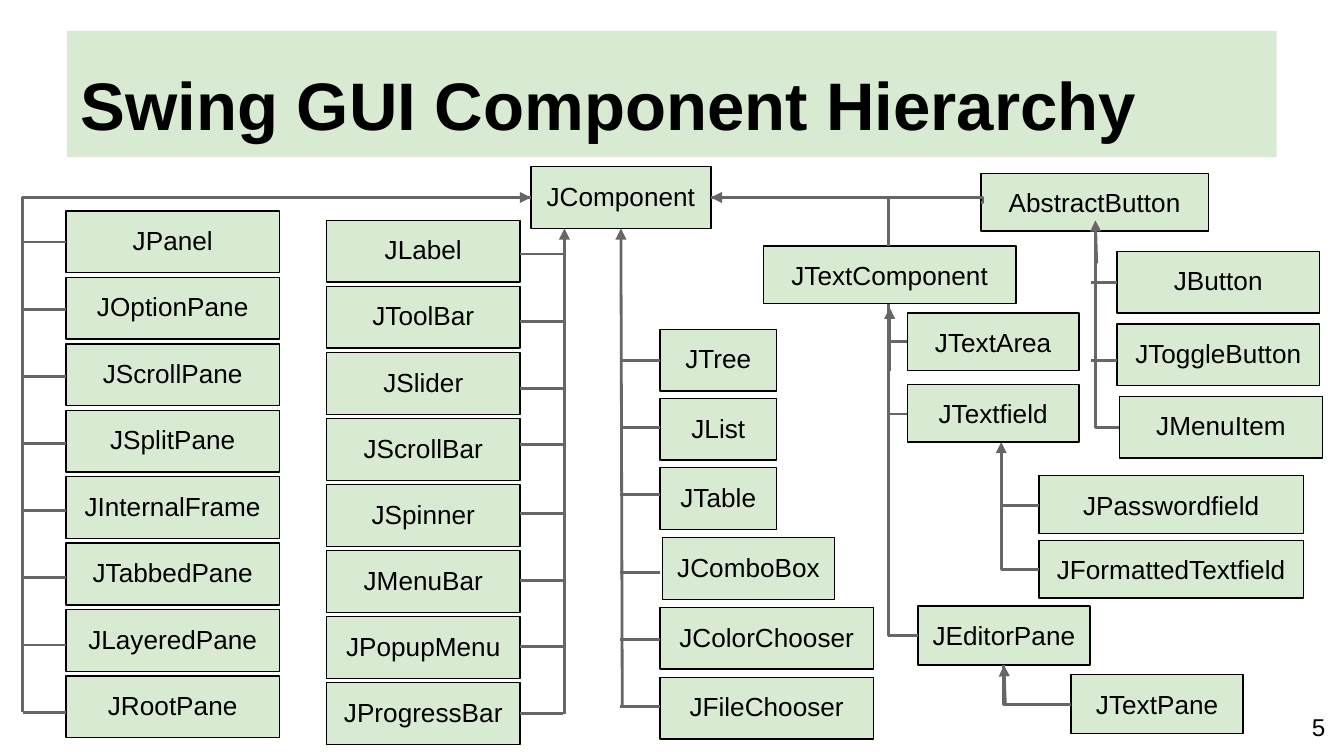
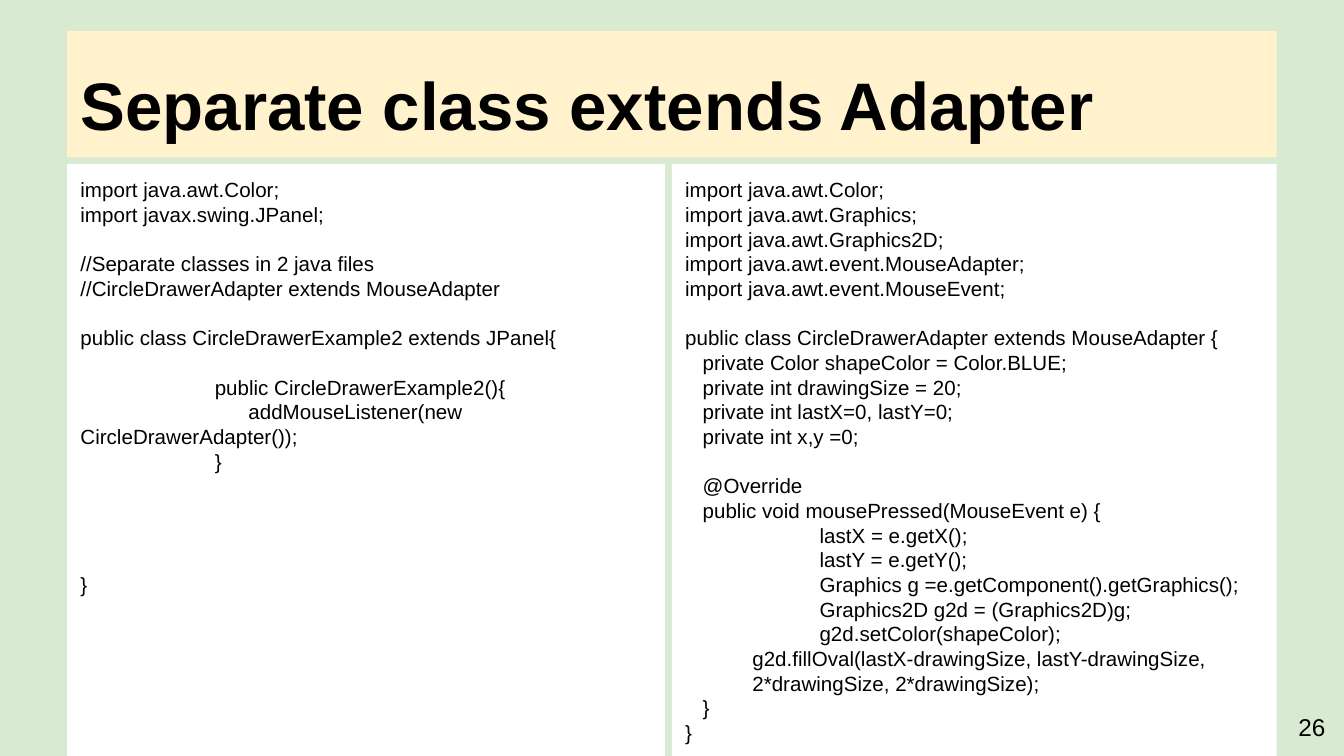
from dataclasses import dataclass

from lxml import etree
from pptx import Presentation
from pptx.dml.color import RGBColor
from pptx.enum.shapes import MSO_CONNECTOR, MSO_SHAPE
from pptx.enum.text import MSO_ANCHOR, MSO_AUTO_SIZE, PP_ALIGN
from pptx.oxml.ns import qn
from pptx.util import Pt

RECT = MSO_SHAPE.RECTANGLE
LINE, ELBOW = MSO_CONNECTOR.STRAIGHT, MSO_CONNECTOR.ELBOW
TOP, MIDDLE, BOTTOM = MSO_ANCHOR.TOP, MSO_ANCHOR.MIDDLE, MSO_ANCHOR.BOTTOM
LEFT, CENTER, RIGHT = PP_ALIGN.LEFT, PP_ALIGN.CENTER, PP_ALIGN.RIGHT
FIXED = MSO_AUTO_SIZE.NONE
TITLE_ONLY = 5
SCALE = 9144  # 100 px to the inch


def px(*vals):
    return [round(v * SCALE) for v in vals]


@dataclass(frozen=True)
class Theme:
    font: str = "Arial"
    ink: str = "000000"
    white: str = "FFFFFF"
    green: str = "D9EAD3"
    cream: str = "FFF2CC"
    gray: str = "666666"
    title: int = 36
    label: int = 14
    page: int = 13
    code: int = 11
    pitch: float = 13.2
    border: float = 0.75
    wire: float = 1.5


def color(code):
    return RGBColor.from_string(code)


def apply(item, form):
    for name, val in form.items():
        setattr(item, name, val)


class Deck:
    def __init__(self, theme):
        self.theme = theme
        self.prs = Presentation()
        self.prs.slide_width = px(1000)[0]
        self.prs.slide_height = self.prs.slide_width * 9 // 16
        self.slide = None

    def page(self, title, num, back, band):
        """Start a slide with its title band and page number."""
        t = self.theme
        layout = self.prs.slide_layouts[TITLE_ONLY]
        self.slide = self.prs.slides.add_slide(layout)
        self.paint(self.slide.background, back)
        head = self.slide.shapes.title
        apply(head, dict(zip(("left", "top", "width", "height"),
                             px(50, 23, 900, 94))))
        self.paint(head, band)
        self.letter(head, [title], t.title, LEFT, BOTTOM, True)
        foot = self.slide.shapes.add_textbox(*px(936, 519, 60, 43))
        self.letter(foot, [str(num)], t.page, RIGHT, MIDDLE)

    def paint(self, item, fill):
        item.fill.solid()
        item.fill.fore_color.rgb = color(fill)

    def letter(self, shape, lines, size, align, anchor=TOP, bold=False):
        t, frame = self.theme, shape.text_frame
        inset = px(10)[0]
        apply(frame, {"word_wrap": True, "auto_size": FIXED,
                      "vertical_anchor": anchor,
                      "margin_left": inset, "margin_right": inset,
                      "margin_top": inset, "margin_bottom": inset})
        for i, text in enumerate(lines):
            para = frame.add_paragraph() if i else frame.paragraphs[0]
            para.alignment = align
            run = para.add_run()
            run.text = text
            apply(run.font, {"name": t.font, "size": Pt(size), "bold": bold})
            run.font.color.rgb = color(t.ink)
        return frame.paragraphs

    def rect(self, x, y, w, h, fill):
        shape = self.slide.shapes.add_shape(RECT, *px(x, y, w, h))
        shape.shadow.inherit = False
        self.paint(shape, fill)
        return shape

    def box(self, text, x, y, w, h=46):
        t = self.theme
        shape = self.rect(x, y, w, h, t.green)
        shape.line.color.rgb = color(t.ink)
        shape.line.width = Pt(t.border)
        self.letter(shape, [text], t.label, CENTER)

    def stack(self, names, x, top, last, wide):
        """Spread boxes evenly from top to last."""
        step = (last - top) / (len(names) - 1)
        for i, name in enumerate(names):
            self.box(name, x, top + i * step, wide)

    def code(self, x, w, rows):
        """Rows are (first-line indent, text, blank lines above)."""
        t = self.theme
        shape = self.rect(x, 122, w, 441, t.white)
        shape.line.fill.background()
        paras = self.letter(shape, [row[1] for row in rows], t.code, LEFT)
        for para, (dent, _, gap) in zip(paras, rows):
            apply(para, {"line_spacing": Pt(t.pitch),
                         "space_before": Pt(t.pitch * gap)})
            props = para._p.get_or_add_pPr()
            props.set("marL", "0")
            props.set("indent", str(px(dent)[0]))

    def wire(self, x1, y1, x2, y2, kind=LINE, arrow=False):
        t = self.theme
        link = self.slide.shapes.add_connector(kind, *px(x1, y1, x2, y2))
        link.line.color.rgb = color(t.gray)
        link.line.width = Pt(t.wire)
        props = link._element.spPr
        if arrow:
            etree.SubElement(props.find(qn("a:ln")), qn("a:tailEnd"),
                             type="triangle")
        etree.SubElement(props, qn("a:effectLst"))
        return props.find(qn("a:prstGeom"))

    def arrow(self, *ends):
        self.wire(*ends, arrow=True)

    def bend(self, *ends):
        """One corner: across first, then up or down."""
        self.wire(*ends, kind=ELBOW).set("prst", "bentConnector2")

    def hook(self, *ends, adj):
        """Two corners, the first at adj thousandths of a percent."""
        geom = self.wire(*ends, kind=ELBOW)
        guides = geom.find(qn("a:avLst"))
        if guides is None:
            guides = etree.SubElement(geom, qn("a:avLst"))
        etree.SubElement(guides, qn("a:gd"), name="adj1", fmla=f"val {adj}")

    def stubs(self, x1, x2, rows):
        for y in rows:
            self.wire(x1, y, x2, y)


PANES = ["JPanel", "JOptionPane", "JScrollPane", "JSplitPane",
         "JInternalFrame", "JTabbedPane", "JLayeredPane", "JRootPane"]
BARS = ["JLabel", "JToolBar", "JSlider", "JScrollBar",
        "JSpinner", "JMenuBar", "JPopupMenu", "JProgressBar"]
LISTS = ["JTree", "JList", "JTable"]
CHOICES = ["JColorChooser", "JFileChooser"]

# Boxes outside the even columns: text, x, y, w, h
NODES = [
    ("JComponent", 395, 124, 134, 46),
    ("JComboBox", 493, 400, 128, 46),
    ("AbstractButton", 730, 129, 169, 43),
    ("JButton", 831, 187, 151, 46),
    ("JToggleButton", 831, 241, 151, 46),
    ("JMenuItem", 833, 295, 151, 46),
    ("JTextComponent", 568, 183, 188, 43),
    ("JTextArea", 675, 233, 128, 43),
    ("JTextfield", 675, 286, 128, 43),
    ("JPasswordfield", 773, 354, 197, 43),
    ("JFormattedTextfield", 773, 402, 197, 43),
    ("JEditorPane", 683, 451, 128, 44),
    ("JTextPane", 797, 502, 128, 44),
]
BENDS = [
    (773, 424, 745, 340), (797, 524, 747, 495), (833, 318, 815, 173),
    (683, 473, 661, 226), (395, 147, 17, 530), (529, 147, 661, 183),
]
ARROWS = [
    (816, 196, 815, 164), (745, 376, 745, 329), (748, 524, 747, 495),
    (662, 276, 662, 229), (463, 526, 462, 170), (420, 531, 420, 170),
    (295, 147, 395, 147), (629, 147, 529, 147),
]
# Short branches: x from, x to, heights
STUBS = [
    (17, 49, range(180, 531, 50)),
    (387, 419, (189, 239, 289, 331, 382, 432, 481, 531)),
    (491, 461, (268, 318, 368, 426, 476, 526)),
    (660, 675, (254,)),
    (662, 675, (308,)),
    (773, 745, (376,)),
    (831, 812, (210, 268)),
]

PANEL = [
    (0, "import java.awt.Color;", 0),
    (0, "import javax.swing.JPanel;", 0),
    (0, "//Separate classes in 2 java files", 1),
    (0, "//CircleDrawerAdapter extends MouseAdapter", 0),
    (0, "public class CircleDrawerExample2 extends JPanel{", 1),
    (100, "public CircleDrawerExample2(){", 1),
    (125, "addMouseListener(new CircleDrawerAdapter());", 0),
    (100, "}", 0),
    (0, "}", 4),
]
ADAPTER = [
    (0, "import java.awt.Color;", 0),
    (0, "import java.awt.Graphics;", 0),
    (0, "import java.awt.Graphics2D;", 0),
    (0, "import java.awt.event.MouseAdapter;", 0),
    (0, "import java.awt.event.MouseEvent;", 0),
    (0, "public class CircleDrawerAdapter extends MouseAdapter {", 1),
    (13, "private Color shapeColor = Color.BLUE;", 0),
    (13, "private int drawingSize = 20;", 0),
    (13, "private int lastX=0, lastY=0;", 0),
    (13, "private int x,y =0;", 0),
    (13, "@Override", 1),
    (13, "public void mousePressed(MouseEvent e) {", 0),
    (100, "lastX = e.getX();", 0),
    (100, "lastY = e.getY();", 0),
    (100, "Graphics g =e.getComponent().getGraphics();", 0),
    (100, "Graphics2D g2d = (Graphics2D)g;", 0),
    (100, "g2d.setColor(shapeColor);", 0),
    (50, "g2d.fillOval(lastX-drawingSize, lastY-drawingSize,", 0),
    (50, "2*drawingSize, 2*drawingSize);", 0),
    (13, "}", 0),
    (0, "}", 0),
]


def tree(deck):
    t = deck.theme
    deck.page("Swing GUI Component Hierarchy", 5, t.white, t.green)
    # Columns and single boxes
    deck.stack(PANES, 49, 157, 503, 159)
    deck.stack(BARS, 243, 164, 508, 144)
    deck.stack(LISTS, 491, 245, 348, 87)
    deck.stack(CHOICES, 491, 452, 504, 159)
    for node in NODES:
        deck.box(*node)
    # Branches, trunks and arrowheads
    for row in STUBS:
        deck.stubs(*row)
    for ends in BENDS:
        deck.bend(*ends)
    deck.hook(730, 151, 529, 147, adj=-700)
    for ends in ARROWS:
        deck.arrow(*ends)


def listing(deck):
    t = deck.theme
    deck.page("Separate class extends Adapter", 26, t.green, t.cream)
    deck.code(50, 445, PANEL)
    deck.code(500, 450, ADAPTER)


def main():
    deck = Deck(Theme())
    tree(deck)
    listing(deck)
    deck.prs.save("out.pptx")


if __name__ == "__main__":
    main()
